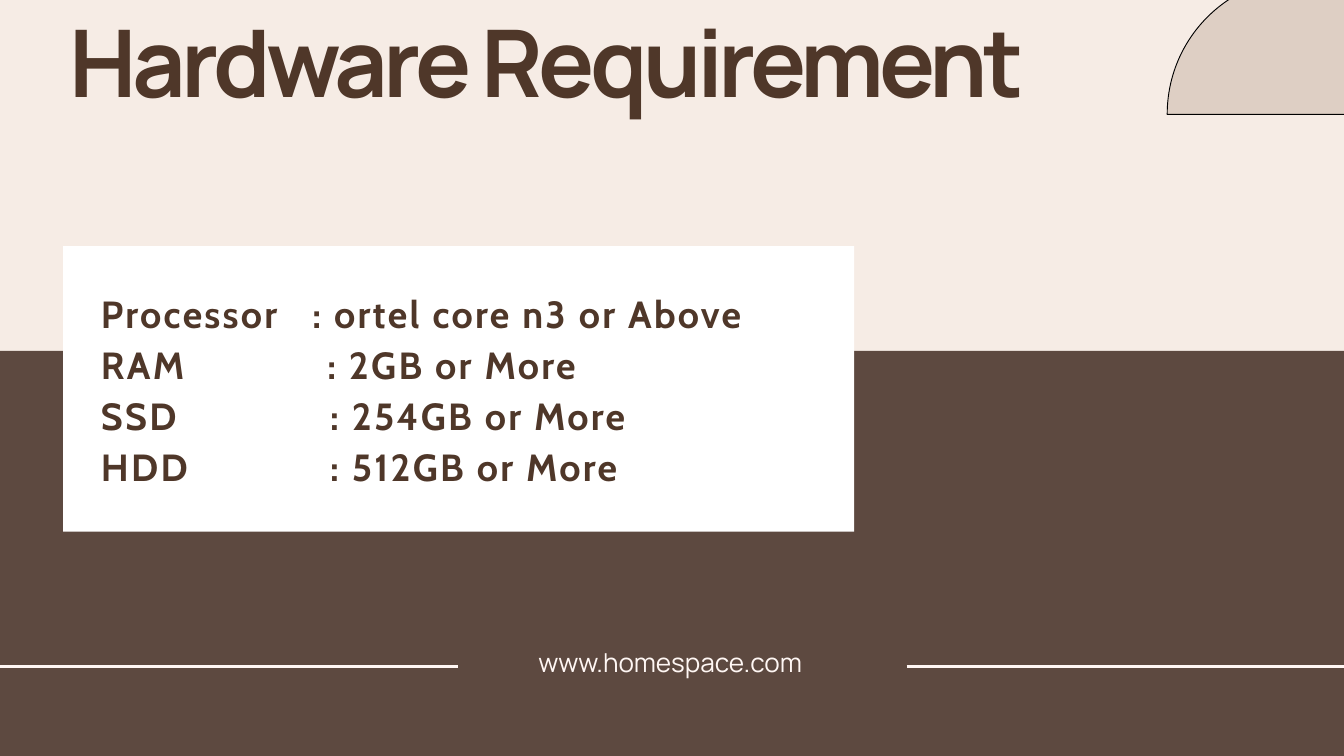
from lxml import etree
from pptx import Presentation
from pptx import util as u
from pptx.dml.color import RGBColor
from pptx.enum import shapes, text
from pptx.oxml import ns

COLORS = {
    "cream": "F6ECE5",
    "brown": "5D4940",
    "ink": "4F3729",
    "tan": "94765F",
    "light": "FFF7F4",
    "white": "FFFFFF",
    "black": "000000",
}

REQUIREMENTS = [
    ("Processor", ": ortel core n3 or Above", 226.5),
    ("RAM", ": 2GB or More", 242.5),
    ("SSD", ": 254GB or More", 245.5),
    ("HDD", ": 512GB or More", 245.5),
]

ARCH_START = (1546.6, 122.6)
ARCH_STEPS = [
    [(1250.6, 122.6)],
    [(1250.6, 71.3), (1276.6, 25.9), (1316.9, -0.6)],
    [(1250.6, -0.6)],
    [(1250.6, -82.1), (1316.9, -148.4), (1398.6, -148.4)],
    [(1480.3, -148.4), (1546.6, -82.1), (1546.6, -0.6)],
    [(1480.3, -0.6)],
    [(1520.6, 25.9), (1546.6, 71.3), (1546.6, 122.6)],
]


def color(name):
    return RGBColor.from_string(COLORS[name])


def add_panel(page, left, top, width, height, fill):
    panel = page.shapes.add_shape(
        shapes.MSO_SHAPE.RECTANGLE, u.Pt(left), u.Pt(top), u.Pt(width), u.Pt(height)
    )
    panel.shadow.inherit = False
    panel.fill.solid()
    panel.fill.fore_color.rgb = color(fill)
    panel.line.fill.background()


def bend_lines(shape, steps):
    lines = iter(list(shape._element.iter(ns.qn("a:lnTo"))))
    for step in steps:
        first, *others = [next(lines) for _ in step]
        if others:
            first.tag = ns.qn("a:cubicBezTo")
        for other in others:
            first.append(other[0])
            other.getparent().remove(other)


def add_arches(page):
    points = [(u.Pt(x), u.Pt(y)) for step in ARCH_STEPS for x, y in step]
    builder = page.shapes.build_freeform(*map(u.Pt, ARCH_START))
    builder.add_line_segments(points, close=True)
    arches = builder.convert_to_shape()
    bend_lines(arches, ARCH_STEPS)
    arches.shadow.inherit = False
    arches.fill.solid()
    arches.fill.fore_color.rgb = color("tan")
    tint = arches._element.spPr.find(ns.qn("a:solidFill"))[0]
    etree.SubElement(tint, ns.qn("a:alpha"), val="24000")
    arches.line.color.rgb = color("black")
    arches.line.width = u.Pt(1)


def add_rule(page, start, end, top):
    rule = page.shapes.add_connector(
        shapes.MSO_CONNECTOR.STRAIGHT, u.Pt(start), u.Pt(top), u.Pt(end), u.Pt(top)
    )
    rule.line.color.rgb = color("light")
    rule.line.width = u.Pt(3)
    etree.SubElement(rule._element.spPr, ns.qn("a:effectLst"))


def add_box(page, left, top, width, height):
    box = page.shapes.add_textbox(u.Pt(left), u.Pt(top), u.Pt(width), u.Pt(height))
    frame = box.text_frame
    frame.word_wrap = True
    frame.auto_size = text.MSO_AUTO_SIZE.SHAPE_TO_FIT_TEXT
    frame.margin_left = frame.margin_right = 0
    frame.margin_top = frame.margin_bottom = 0
    return frame


def add_span(para, words, font, size, ink, bold=False, spacing=0):
    span = para.add_run()
    span.text = words
    span.font.name = font
    span.font.size = u.Pt(size)
    span.font.bold = bold
    span.font.color.rgb = color(ink)
    if spacing:
        span._r.get_or_add_rPr().set("spc", str(round(spacing * 100)))


def add_tab_stop(para, position):
    stops = etree.SubElement(para._p.get_or_add_pPr(), ns.qn("a:tabLst"))
    etree.SubElement(stops, ns.qn("a:tab"), pos=str(u.Pt(position)), algn="l")


def add_title(page):
    para = add_box(page, -36.7, 30.2, 1244.9, 108).paragraphs[0]
    para.alignment = text.PP_ALIGN.CENTER
    para.line_spacing = u.Pt(94)
    add_span(para, "Hardware Requirement", "Manrope", 100, "ink", True, -4.8)


def add_requirements(page):
    frame = add_box(page, 108.2, 305.6, 765.4, 217.4)
    for index, (part, need, stop) in enumerate(REQUIREMENTS):
        para = frame.add_paragraph() if index else frame.paragraphs[0]
        add_tab_stop(para, stop)
        para.line_spacing = u.Pt(54.7)
        add_span(para, f"{part}\t{need}", "Cabin", 40.5, "ink", True, 2.4)


def add_address(page):
    para = add_box(page, 576.9, 697.7, 383.8, 31).paragraphs[0]
    para.line_spacing = u.Pt(28)
    add_span(para, "www.homespace.com", "Manrope", 28, "light")


def main():
    deck = Presentation()
    deck.slide_width, deck.slide_height = u.Pt(1440), u.Pt(810)
    page = deck.slides.add_slide(deck.slide_layouts[6])
    page.background.fill.solid()
    page.background.fill.fore_color.rgb = color("cream")

    add_arches(page)
    add_panel(page, -10, 376, 1460.9, 434.2, "brown")
    for start in (971.3, -267.1):
        add_rule(page, start, start + 758.2, 713.8)
    add_panel(page, 67.7, 263.7, 847.4, 306, "white")
    add_title(page)
    add_requirements(page)
    add_address(page)
    deck.save("out.pptx")


if __name__ == "__main__":
    main()
